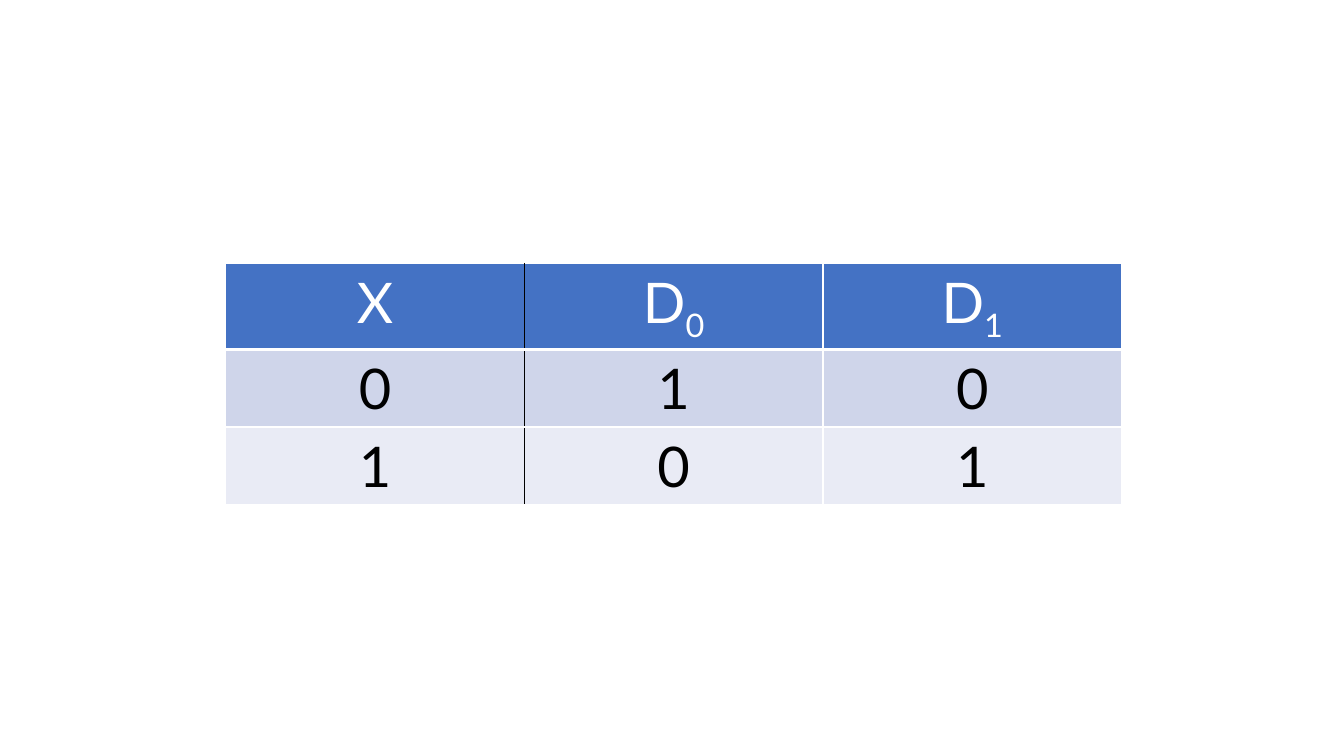
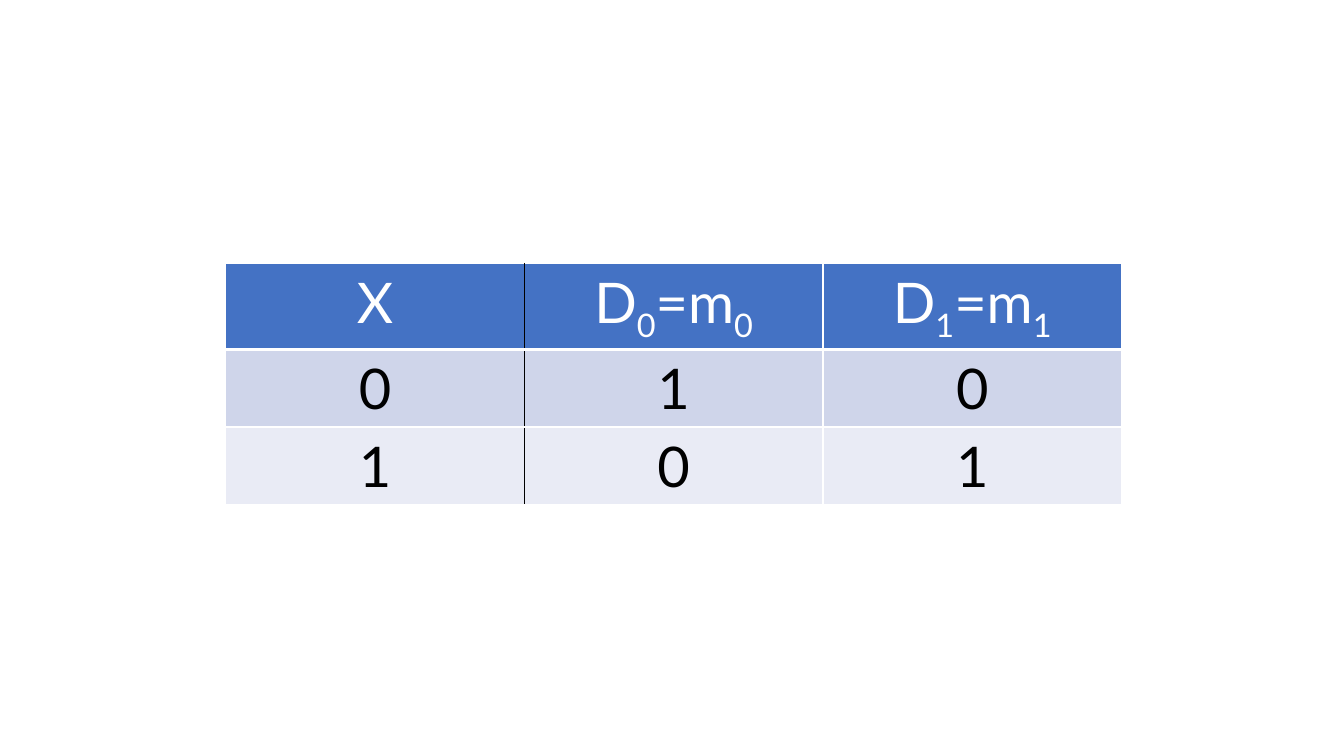
from lxml import etree
from pptx import Presentation
from pptx.dml.color import RGBColor
from pptx.enum import text
from pptx.oxml.ns import qn
from pptx.util import Pt

# Content: header cells alternate between normal and subscript text
HEADERS = [
    [("X",), ("D", "0"), ("D", "1")],
    [("X",), ("D", "0", "=m", "0"), ("D", "1", "=m", "1")],
]
TRUTH_ROWS = [
    [("0",), ("1",), ("0",)],
    [("1",), ("0",), ("1",)],
]

# Shared style
COLORS = {"header": "4472C4", "odd": "CFD5EA", "even": "E9EBF5",
          "light": "FFFFFF", "dark": "000000"}
ROW_FILLS = ["header", "odd", "even"]
FONT = {"name": "Lato", "size": Pt(40), "bold": False}
SUBSCRIPT = "-25000"

# Geometry in points
LEFT, TOP = 161.2, 188.1
COLUMN_WIDTH, ROW_HEIGHT = 213.33, 55.2


def add_border(cell, side, color, width):
    line = etree.SubElement(cell._tc.get_or_add_tcPr(), qn(f"a:ln{side}"),
                            w=str(Pt(width)))
    fill = etree.SubElement(line, qn("a:solidFill"))
    etree.SubElement(fill, qn("a:srgbClr"), val=COLORS[color])


def style_cell(cell, row, column):
    # The input column is divided from the outputs by a dark line
    borders = {
        "L": ("dark" if column == 1 else "light", 1),
        "R": ("dark" if column == 0 else "light", 1),
        "T": ("light", 3 if row == 1 else 1),
        "B": ("light", 3 if row == 0 else 1),
    }
    for side, (color, width) in borders.items():
        add_border(cell, side, color, width)
    cell.fill.solid()
    cell.fill.fore_color.rgb = RGBColor.from_string(COLORS[ROW_FILLS[row]])


def write_cell(cell, parts, color):
    paragraph = cell.text_frame.paragraphs[0]
    paragraph.alignment = text.PP_ALIGN.CENTER
    for index, part in enumerate(parts):
        run = paragraph.add_run()
        run.text = part
        for name, value in FONT.items():
            setattr(run.font, name, value)
        run.font.color.rgb = RGBColor.from_string(COLORS[color])
        if index % 2:
            run._r.get_or_add_rPr().set("baseline", SUBSCRIPT)


def add_truth_table(slide, rows):
    row_count, column_count = len(rows), len(rows[0])
    table = slide.shapes.add_table(
        row_count, column_count, Pt(LEFT), Pt(TOP),
        Pt(COLUMN_WIDTH * column_count), Pt(ROW_HEIGHT * row_count)).table
    table.first_row = table.horz_banding = False
    for column in table.columns:
        column.width = Pt(COLUMN_WIDTH)
    for r, row in enumerate(rows):
        table.rows[r].height = Pt(ROW_HEIGHT)
        for c, parts in enumerate(row):
            cell = table.cell(r, c)
            style_cell(cell, r, c)
            write_cell(cell, parts, "dark" if r else "light")


def main():
    deck = Presentation()
    deck.slide_width, deck.slide_height = Pt(960), Pt(540)
    for header in HEADERS:
        slide = deck.slides.add_slide(deck.slide_layouts[6])
        add_truth_table(slide, [header] + TRUTH_ROWS)
    deck.save("out.pptx")


if __name__ == "__main__":
    main()
